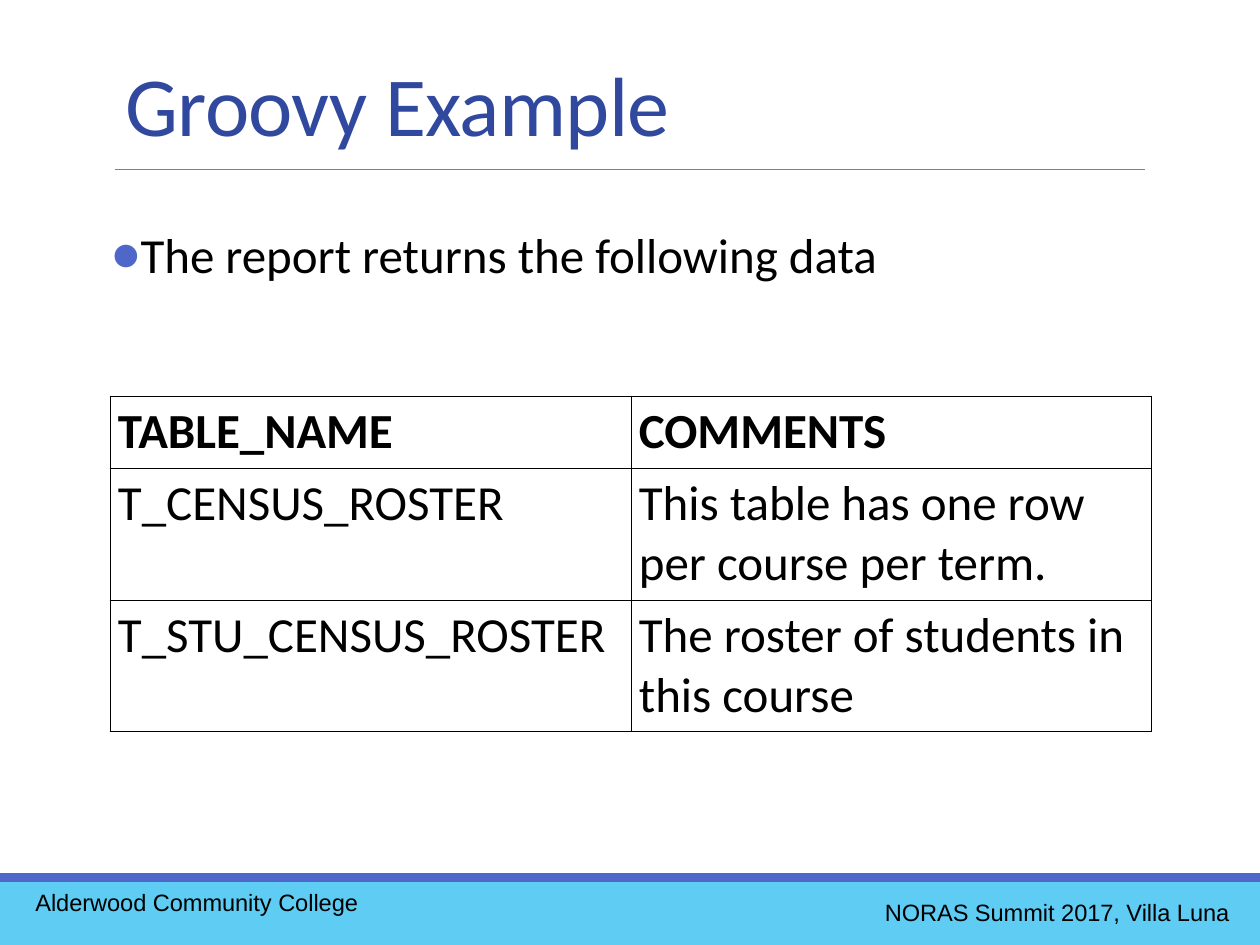
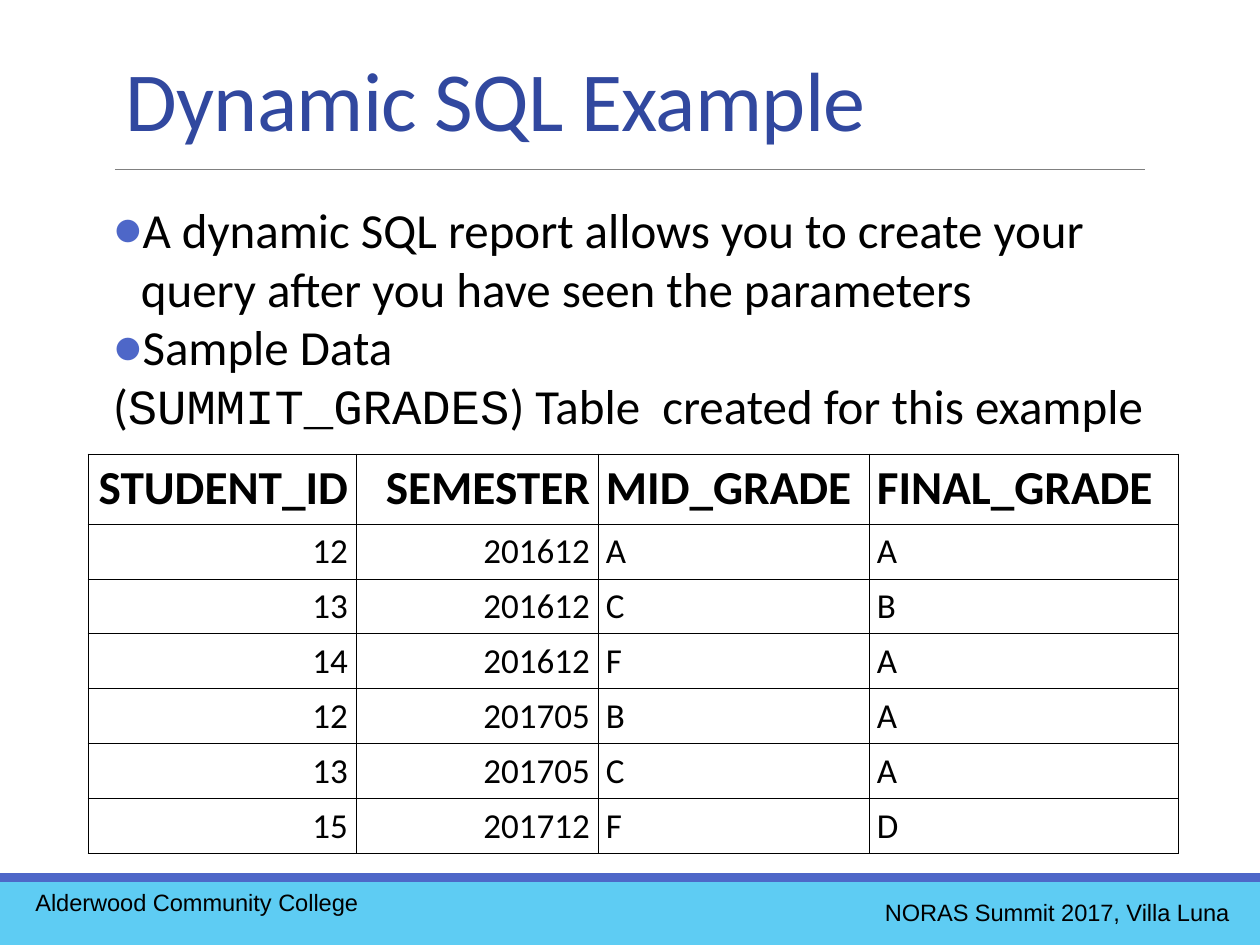
from lxml import etree
from pptx import Presentation
from pptx.dml.color import RGBColor
from pptx.enum.shapes import MSO_CONNECTOR, MSO_SHAPE
from pptx.enum.text import MSO_ANCHOR, MSO_AUTO_SIZE, PP_ALIGN
from pptx.oxml.ns import qn
from pptx.util import Emu, Pt

# Shared look
BLACK = RGBColor(0x00, 0x00, 0x00)
WHITE = RGBColor(0xFF, 0xFF, 0xFF)
GREY = RGBColor(0x80, 0x80, 0x80)
TITLE_BLUE = RGBColor(0x31, 0x48, 0x9F)
ACCENT_BLUE = RGBColor(0x4E, 0x67, 0xC8)
BAND_BLUE = RGBColor(0x5E, 0xCC, 0xF3)
MAIN_FONT, CODE_FONT, FOOTER_FONT = "Calibri", "Courier New", "Arial"
BODY_SIZE = 28
LEFT, RIGHT = PP_ALIGN.LEFT, PP_ALIGN.RIGHT
TOP, BOTTOM = MSO_ANCHOR.TOP, MSO_ANCHOR.BOTTOM
RECTANGLE, STRAIGHT = MSO_SHAPE.RECTANGLE, MSO_CONNECTOR.STRAIGHT
NO_AUTOFIT = MSO_AUTO_SIZE.NONE

PX_PER_INCH = 126
PAGE_WIDTH, PAGE_HEIGHT = 1260, 945
CELL_MARGIN_X, CELL_MARGIN_Y = 8, 6
BULLET_INDENT = 28


def px(length):
    return Emu(round(length * 914400 / PX_PER_INCH))


def place(shape, left, top, width, height):
    shape.left, shape.top = px(left), px(top)
    shape.width, shape.height = px(width), px(height)


def style_run(run, size, font=MAIN_FONT, color=BLACK, bold=False):
    run.font.size = Pt(size)
    run.font.name = font
    run.font.color.rgb = color
    run.font.bold = bold


def add_band(page, top, height, color):
    band = page.shapes.add_shape(RECTANGLE, 0, px(top), px(PAGE_WIDTH), px(height))
    band.shadow.inherit = False
    band.fill.solid()
    band.fill.fore_color.rgb = color
    band.line.fill.background()


def add_title_rule(page):
    rule = page.shapes.add_connector(STRAIGHT, px(115), px(169), px(1145), px(169))
    rule.line.color.rgb = GREY
    rule.line.width = Pt(0.5)
    etree.SubElement(rule._element.spPr, qn("a:effectLst"))


def add_footer(page, text, left, top, align):
    box = page.shapes.add_textbox(px(left), px(top), px(393), px(40))
    box.text_frame.word_wrap = True
    box.text_frame.text = text
    para = box.text_frame.paragraphs[0]
    para.alignment = align
    style_run(para.runs[0], 13.5, FOOTER_FONT)


def set_title(page, text, height):
    title = page.shapes.title
    place(title, 113, 39, 1040, height)
    frame = title.text_frame
    frame.auto_size = NO_AUTOFIT
    frame.vertical_anchor = BOTTOM
    frame.text = text
    para = frame.paragraphs[0]
    para.alignment = LEFT
    para.line_spacing = 0.85
    style_run(para.runs[0], 48, color=TITLE_BLUE)
    para.runs[0].font._element.set("spc", "-40")


def set_bullet(para, bulleted):
    props = para._p.get_or_add_pPr()
    indent = px(BULLET_INDENT) if bulleted else 0
    props.set("marL", str(indent))
    props.set("indent", str(-indent))
    if not bulleted:
        etree.SubElement(props, qn("a:buNone"))
        return
    bullet_color = etree.SubElement(props, qn("a:buClr"))
    etree.SubElement(bullet_color, qn("a:srgbClr"), val=str(ACCENT_BLUE))
    etree.SubElement(props, qn("a:buFont"), typeface=MAIN_FONT)
    etree.SubElement(props, qn("a:buChar"), char="●")


def set_body(page, bullets, left, top, height):
    """Fill the body placeholder with bullets and return its text frame."""
    body = page.placeholders[1]
    place(body, left, top, 1040, height)
    frame = body.text_frame
    frame.auto_size = NO_AUTOFIT
    frame.vertical_anchor = TOP
    frame.margin_left = frame.margin_right = 0
    frame.text = "\n".join(bullets)
    for para in frame.paragraphs:
        para.space_before = Pt(0)
        set_bullet(para, True)
        style_run(para.runs[0], BODY_SIZE)
    return frame


def add_plain_line(frame, spans):
    """Append an unbulleted line made of (text, font) spans."""
    para = frame.add_paragraph()
    para.space_before = Pt(0)
    set_bullet(para, False)
    for text, font in spans:
        span = para.add_run()
        span.text = text
        style_run(span, BODY_SIZE, font)


def add_cell_borders(cell):
    props = cell._tc.get_or_add_tcPr()
    for side in ("lnL", "lnR", "lnT", "lnB"):
        border = etree.SubElement(props, qn(f"a:{side}"), w=str(Pt(0.57)))
        fill = etree.SubElement(border, qn("a:solidFill"))
        etree.SubElement(fill, qn("a:srgbClr"), val=str(BLACK))


def fill_cell(cell, text, size, bold, align):
    add_cell_borders(cell)
    cell.fill.solid()
    cell.fill.fore_color.rgb = WHITE
    cell.margin_left = cell.margin_right = px(CELL_MARGIN_X)
    cell.margin_top = cell.margin_bottom = px(CELL_MARGIN_Y)
    cell.text = text
    para = cell.text_frame.paragraphs[0]
    para.alignment = align
    style_run(para.runs[0], size, bold=bold)


def add_data_table(page, rows, left, top, widths, heights, sizes, aligns):
    """Draw a ruled table; sizes holds the header and the data text size."""
    frame = page.shapes.add_table(len(rows), len(widths), px(left), px(top),
                                  px(sum(widths)), px(sum(heights)))
    table = frame.table
    table.first_row = table.horz_banding = False
    for column, width in zip(table.columns, widths):
        column.width = px(width)
    for row, height in zip(table.rows, heights):
        row.height = px(height)
    for r, values in enumerate(rows):
        is_header = r == 0
        size = sizes[0] if is_header else sizes[1]
        for c, value in enumerate(values):
            fill_cell(table.cell(r, c), value, size, is_header, aligns[c])


def add_page(deck, title, title_height):
    page = deck.slides.add_slide(deck.slide_layouts[1])
    add_band(page, 882, 63, BAND_BLUE)
    add_band(page, 873, 9, ACCENT_BLUE)
    add_title_rule(page)
    set_title(page, title, title_height)
    add_footer(page, "Alderwood Community College", 23, 882, LEFT)
    add_footer(page, "NORAS Summit 2017, Villa Luna", 849, 892, RIGHT)
    return page


def build_groovy_page(deck):
    page = add_page(deck, "Groovy Example", 121)
    set_body(page, ["The report returns the following data"], 111, 218, 95)
    rows = [
        ("TABLE_NAME", "COMMENTS"),
        ("T_CENSUS_ROSTER", "This table has one row per course per term."),
        ("T_STU_CENSUS_ROSTER", "The roster of students in this course"),
    ]
    add_data_table(page, rows, 110, 396, [521, 521], [72, 132, 132],
                   (BODY_SIZE, BODY_SIZE), [LEFT, LEFT])


def build_sql_page(deck):
    page = add_page(deck, "Dynamic SQL Example", 116)
    bullets = [
        "A dynamic SQL report allows you to create your query "
        "after you have seen the parameters",
        "Sample Data",
    ]
    frame = set_body(page, bullets, 113, 193, 616)
    add_plain_line(frame, [
        ("(", MAIN_FONT),
        ("SUMMIT_GRADES", CODE_FONT),
        (") Table  created for this example", MAIN_FONT),
    ])
    rows = [
        ("STUDENT_ID", "SEMESTER", "MID_GRADE", "FINAL_GRADE"),
        ("12", "201612", "A", "A"),
        ("13", "201612", "C", "B"),
        ("14", "201612", "F", "A"),
        ("12", "201705", "B", "A"),
        ("13", "201705", "C", "A"),
        ("15", "201712", "F", "D"),
    ]
    heights = [70] + [55] * (len(rows) - 1)
    add_data_table(page, rows, 88, 454, [268, 242, 271, 309], heights,
                   (27, 20), [RIGHT, RIGHT, LEFT, LEFT])


def main():
    deck = Presentation()
    deck.slide_width, deck.slide_height = px(PAGE_WIDTH), px(PAGE_HEIGHT)
    build_groovy_page(deck)
    build_sql_page(deck)
    deck.save("out.pptx")


if __name__ == "__main__":
    main()
